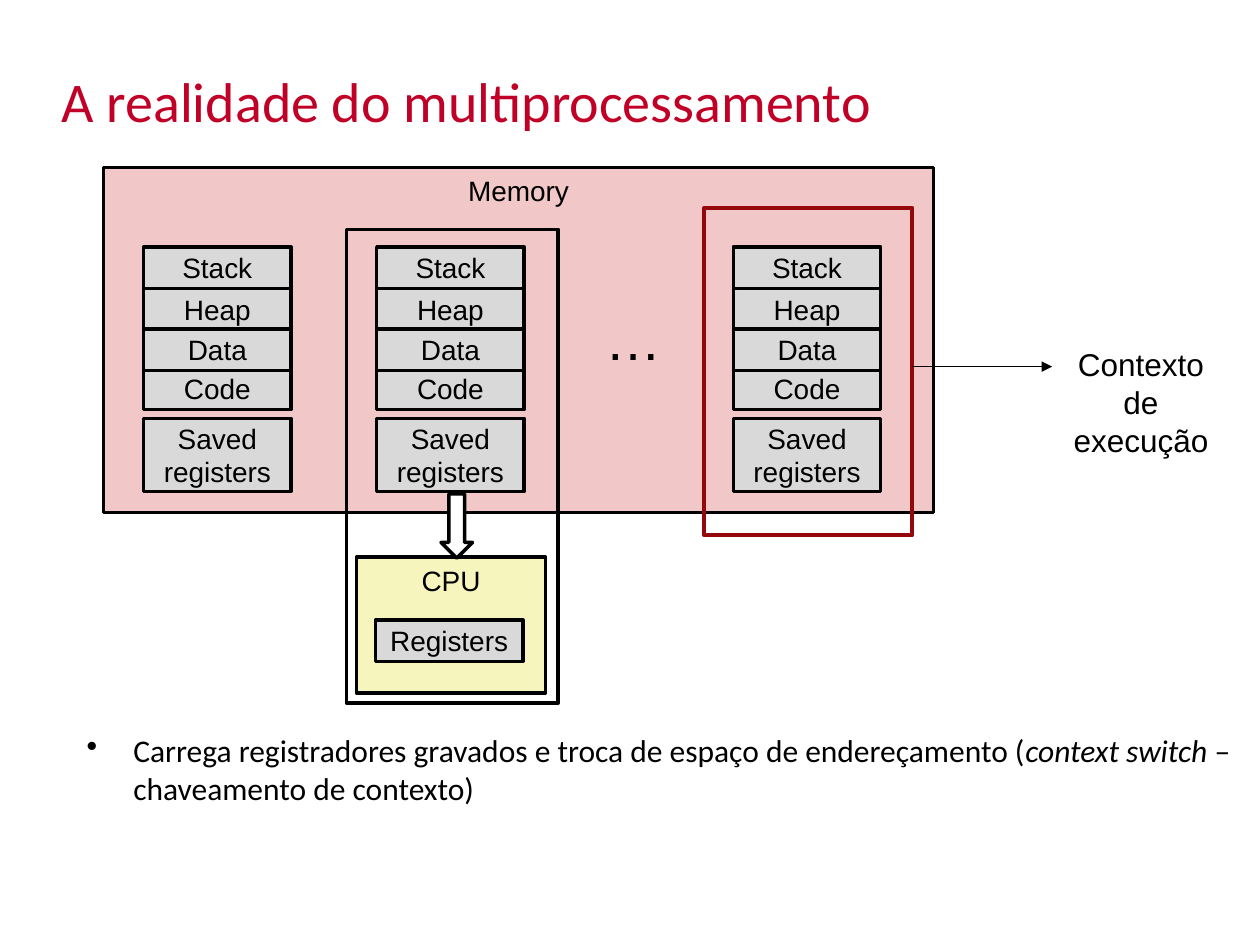
from lxml.etree import SubElement
from pptx import Presentation
from pptx.dml.color import RGBColor
from pptx.enum.shapes import MSO_CONNECTOR, MSO_SHAPE
from pptx.enum.text import MSO_ANCHOR, PP_ALIGN
from pptx.oxml.ns import qn
from pptx.util import Inches, Pt

COLORS = {
    "title": "C00026", "ink": "000000", "memory": "F1C7C7", "cpu": "F6F5BD",
    "block": "D9D9D9", "arrow": "FFFFFF", "context": "94070A",
}

TITLE = "A realidade do multiprocessamento"
BULLET = [  # text, italic
    ("Carrega registradores gravados e troca de espaço de endereçamento (", False),
    ("context switch", True),
    (" – chaveamento de contexto)", False),
]
CONTEXT_LABEL = ["Contexto", "de execução"]

PROCESS_LEFTS = [1.14, 2.99, 5.82]
BLOCK_WIDTH, BLOCK_HEIGHT = 1.17, 0.33
PROCESS_BLOCKS = [  # label, top, height
    ("Stack", 1.96, BLOCK_HEIGHT),
    ("Heap", 2.29, BLOCK_HEIGHT),
    ("Code", 2.92, BLOCK_HEIGHT),
    ("Data", 2.61, BLOCK_HEIGHT),
    ("Saved registers", 3.32, 0.58),
]


def rgb(name):
    return RGBColor.from_string(COLORS[name])


def set_font(paragraph, size, face="Arial", color="ink"):
    paragraph.font.size = Pt(size)
    paragraph.font.name = face
    paragraph.font.color.rgb = rgb(color)


def add_box(slide, box, fill=None, label="", anchor=MSO_ANCHOR.TOP,
            line="ink", width=2, preset=MSO_SHAPE.RECTANGLE):
    shape = slide.shapes.add_shape(preset, *map(Inches, box))
    shape.shadow.inherit = False
    if fill:
        shape.fill.solid()
        shape.fill.fore_color.rgb = rgb(fill)
    else:
        shape.fill.background()
    shape.line.color.rgb = rgb(line)
    shape.line.width = Pt(width)
    if label:
        frame = shape.text_frame
        frame.text = label
        frame.word_wrap = True
        frame.vertical_anchor = anchor
        frame.paragraphs[0].alignment = PP_ALIGN.CENTER
        set_font(frame.paragraphs[0], 16)


def add_block(slide, left, top, height, label):
    add_box(slide, (left, top, BLOCK_WIDTH, height), "block", label, MSO_ANCHOR.MIDDLE)


def add_text(slide, box, lines, size, face="Arial", color="ink",
             align=PP_ALIGN.LEFT, wrap=True):
    frame = slide.shapes.add_textbox(*map(Inches, box)).text_frame
    frame.word_wrap = wrap
    frame.text = "\n".join(lines)
    for paragraph in frame.paragraphs:
        paragraph.alignment = align
        set_font(paragraph, size, face, color)
    return frame


def add_bullet(slide):
    frame = add_text(slide, (0.58, 5.75, 9.33, 0.58), [""], 18, "Calibri")
    paragraph = frame.paragraphs[0]
    paragraph.space_before = Pt(3.6)
    for text, italic in BULLET:
        run = paragraph.add_run()
        run.text = text
        run.font.italic = italic
    properties = paragraph._p.get_or_add_pPr()
    properties.set("marL", str(Inches(0.38)))
    properties.set("indent", str(Inches(-0.37)))
    bullet = properties.makeelement(qn("a:buChar"), {"char": "•"})
    properties.find(qn("a:defRPr")).addprevious(bullet)


def add_arrow(slide, start, end):
    arrow = slide.shapes.add_connector(
        MSO_CONNECTOR.STRAIGHT, *map(Inches, (*start, *end)))
    arrow.line.color.rgb = rgb("ink")
    arrow.line.width = Pt(0.75)
    SubElement(arrow.line._get_or_add_ln(), qn("a:tailEnd"), type="triangle")
    SubElement(arrow._element.spPr, qn("a:effectLst"))


def main():
    deck = Presentation()
    deck.slide_width, deck.slide_height = Inches(10), Inches(7.5)
    slide = deck.slides.add_slide(deck.slide_layouts[6])

    add_text(slide, (0.39, 0.48, 9.28, 0.83), [TITLE], 32, "Calibri", "title")
    add_bullet(slide)

    add_box(slide, (2.83, 4.42, 1.5, 1.08), "cpu", "CPU")
    add_block(slide, 2.98, 4.92, BLOCK_HEIGHT, "Registers")

    add_box(slide, (0.82, 1.33, 6.59, 2.74), "memory", "Memory")
    add_box(slide, (2.75, 1.82, 1.68, 3.76))  # running process and CPU
    for left in PROCESS_LEFTS:
        for label, top, height in PROCESS_BLOCKS:
            add_block(slide, left, top, height, label)
    add_text(slide, (4.71, 2.37, 0.64, 0.63), ["…"], 32, wrap=False)
    add_box(slide, (3.5, 3.92, 0.25, 0.51), "arrow", preset=MSO_SHAPE.DOWN_ARROW)

    add_box(slide, (5.59, 1.65, 1.65, 2.6), line="context", width=2.3)
    add_arrow(slide, (7.24, 2.91), (8.35, 2.91))
    add_text(slide, (8.25, 2.69, 1.61, 0.66), CONTEXT_LABEL, 18, align=PP_ALIGN.CENTER)

    deck.save("out.pptx")


if __name__ == "__main__":
    main()
